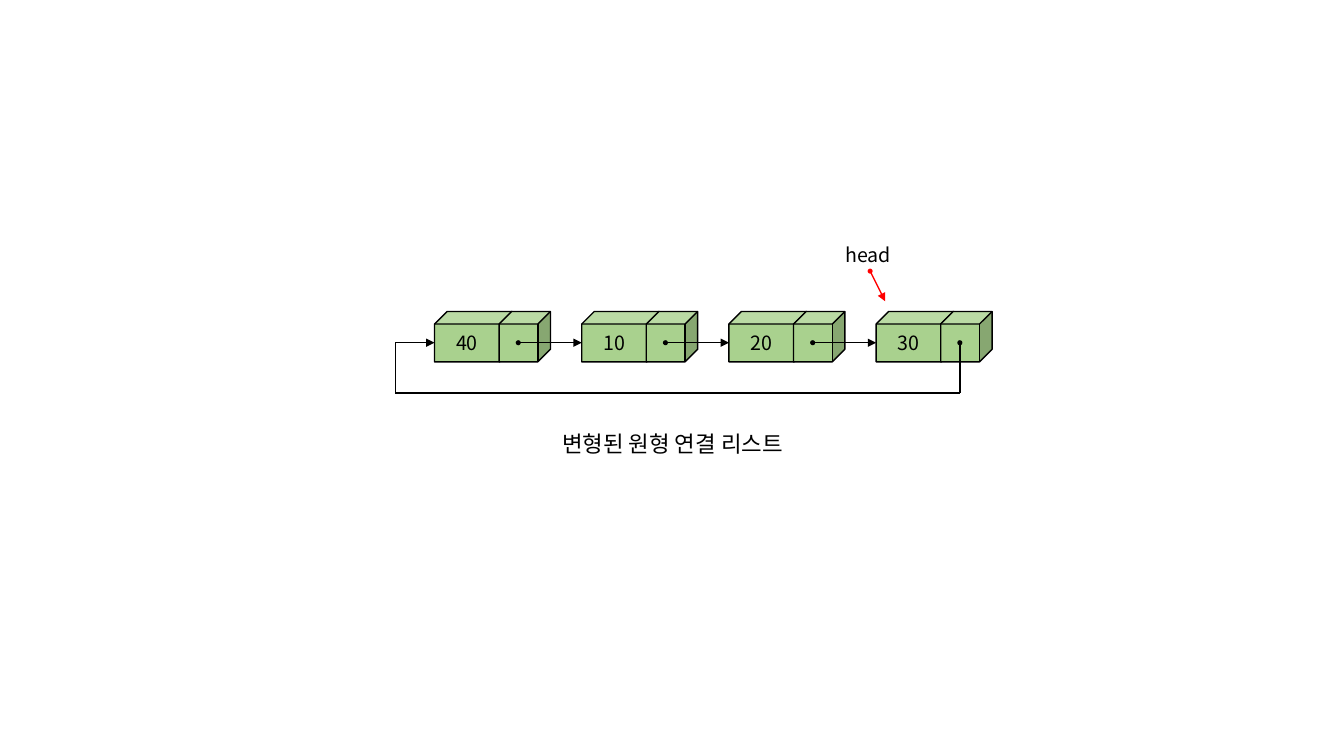
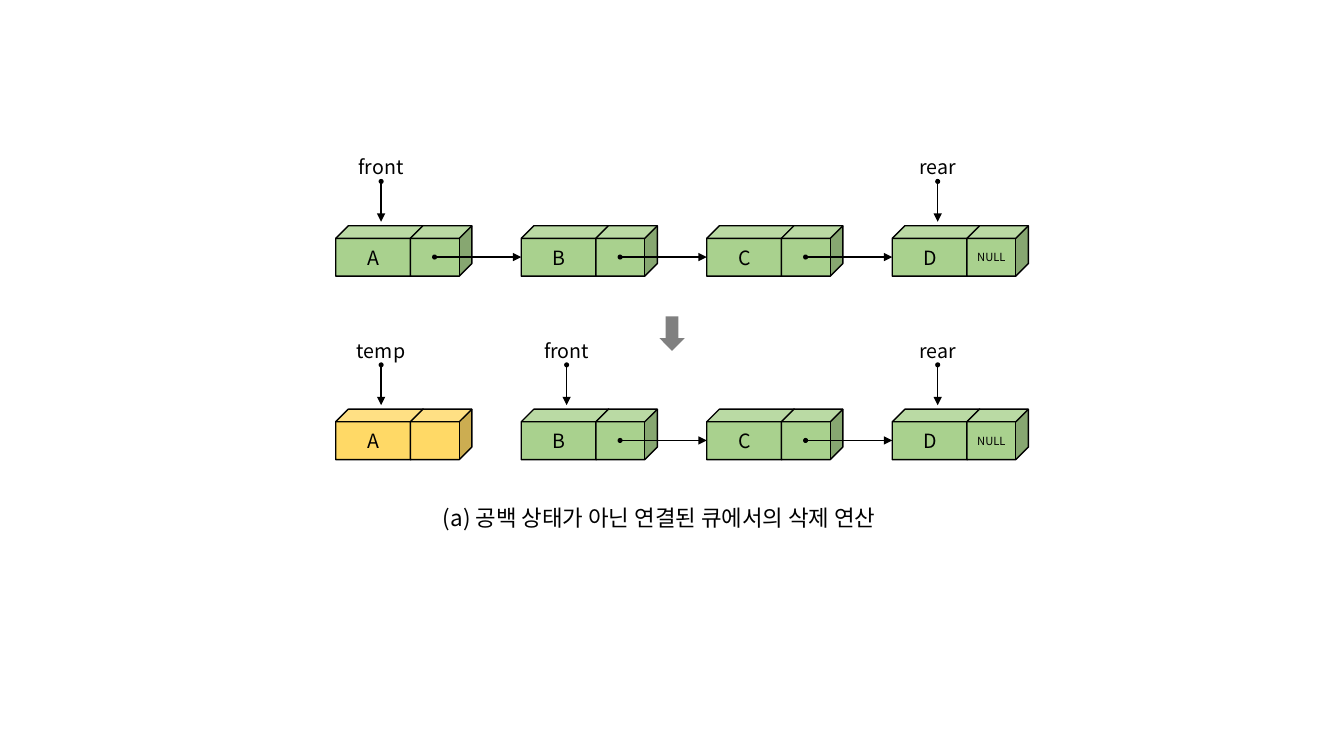
from lxml.etree import SubElement
from pptx import Presentation
from pptx.dml.color import RGBColor
from pptx.enum.shapes import MSO_CONNECTOR, MSO_SHAPE
from pptx.enum.text import MSO_ANCHOR, MSO_AUTO_SIZE, PP_ALIGN
from pptx.oxml.ns import qn
from pptx.util import Inches, Pt

BLACK = RGBColor(0x00, 0x00, 0x00)
RED = RGBColor(0xFF, 0x00, 0x00)
GREEN = RGBColor(0xA9, 0xD1, 0x8E)
YELLOW = RGBColor(0xFF, 0xD9, 0x66)
GRAY = RGBColor(0x80, 0x80, 0x80)

FONT = "Noto Sans CJK KR"
CUBE_H = 0.5
CUBE_DEPTH = 0.13  # slanted part of a cube
LINK_Y = 0.31      # from the top of a node to its link line
DOT = 0.05


class Diagram:
    """Linked-list drawing style and the current slide."""

    def __init__(self, prs, data_w):
        self.slide = prs.slides.add_slide(prs.slide_layouts[6])
        self.data_w = data_w
        self.link_w = data_w - 2 * CUBE_DEPTH
        self.link_x = data_w - CUBE_DEPTH
        self.dot_x = self.link_x + (self.link_w - CUBE_DEPTH) / 2

    def set_text(self, tf, text, size):
        p = tf.paragraphs[0]
        p.alignment = PP_ALIGN.CENTER
        r = p.add_run()
        r.text = text
        for name, value in {"name": FONT, "size": Pt(size)}.items():
            setattr(r.font, name, value)
        r.font.color.rgb = BLACK
        SubElement(r._r.get_or_add_rPr(), qn("a:ea"), typeface=FONT)

    def shape(self, kind, x, y, w, h, color, outline=False):
        sp = self.slide.shapes.add_shape(
            kind, Inches(x), Inches(y), Inches(w), Inches(h))
        sp.shadow.inherit = False
        sp.fill.solid()
        sp.fill.fore_color.rgb = color
        if outline:
            sp.line.color.rgb = BLACK
            sp.line.width = Pt(1)
        else:
            sp.line.fill.background()
        return sp

    def cube(self, x, y, w, color, text="", size=14):
        sp = self.shape(MSO_SHAPE.CUBE, x, y, w, CUBE_H, color, outline=True)
        if text:
            tf = sp.text_frame
            frame = {"margin_left": 0, "margin_right": 0, "margin_top": 0,
                     "margin_bottom": 0, "vertical_anchor": MSO_ANCHOR.MIDDLE}
            for name, value in frame.items():
                setattr(tf, name, value)
            self.set_text(tf, text, size)

    def node(self, x, y, data, link="", color=GREEN):
        self.cube(x, y, self.data_w, color, data)
        self.cube(x + self.link_x, y, self.link_w, color, link, 8)

    def dot(self, x, y, color=BLACK):
        self.shape(MSO_SHAPE.OVAL, x - DOT / 2, y - DOT / 2, DOT, DOT, color)

    def line(self, start, end, color=BLACK, arrow=True):
        ends = [Inches(v) for v in (*start, *end)]
        cn = self.slide.shapes.add_connector(MSO_CONNECTOR.STRAIGHT, *ends)
        cn.line.color.rgb = color
        cn.line.width = Pt(1)
        if arrow:
            SubElement(cn.line._get_or_add_ln(), qn("a:tailEnd"), type="triangle")
        SubElement(cn._element.spPr, qn("a:effectLst"))

    def link(self, x, y, next_x):
        start = (x + self.dot_x, y + LINK_Y)
        self.dot(*start)
        self.line(start, (next_x, y + LINK_Y))

    def label(self, text, center, y, w=1.2, h=0.34, size=14):
        sp = self.slide.shapes.add_textbox(
            Inches(center - w / 2), Inches(y), Inches(w), Inches(h))
        tf = sp.text_frame
        tf.word_wrap = True
        tf.auto_size = MSO_AUTO_SIZE.SHAPE_TO_FIT_TEXT
        self.set_text(tf, text, size)

    def caption(self, text, center, y):
        self.label(text, center, y, w=8.58, h=0.37, size=16)

    def pointer(self, text, center, y, start, end, color=BLACK):
        self.label(text, center, y)
        self.dot(*start, color)
        self.line(start, end, color)


def circular_list(prs):
    d = Diagram(prs, data_w=0.77)
    y = 3.09
    xs = [4.31 + 1.46 * i for i in range(4)]

    # Nodes and forward links
    for x, data in zip(xs, ("40", "10", "20", "30")):
        d.node(x, y, data)
    for x, next_x in zip(xs, xs[1:]):
        d.link(x, y, next_x)
    d.pointer("head", 8.61, 2.36, (8.63, 2.69), (8.78, 2.99), RED)

    # Link from the last node back to the first
    link_y, back_y, back_x = y + LINK_Y, 3.9, 3.92
    start = (xs[-1] + d.dot_x, link_y)
    d.dot(*start)
    route = [start, (start[0], back_y), (back_x, back_y),
             (back_x, link_y), (xs[0], link_y)]
    for a, b in zip(route, route[1:]):
        d.line(a, b, arrow=b == route[-1])

    d.caption("변형된 원형 연결 리스트", 6.67, 4.22)


def queue_deletion(prs):
    d = Diagram(prs, data_w=0.87)
    xs = [3.33 + 1.84 * i for i in range(4)]

    # Queue before and after: top, index of the front node, pointers by node
    rows = [(2.24, 0, {0: "front", 3: "rear"}),
            (4.06, 1, {0: "temp", 1: "front", 3: "rear"})]
    for y, front, pointers in rows:
        for i, (x, data) in enumerate(zip(xs, "ABCD")):
            d.node(x, y, data, "NULL" if data == "D" else "",
                   YELLOW if i < front else GREEN)
        for x, next_x in zip(xs[front:], xs[front + 1:]):
            d.link(x, y, next_x)
        for i, text in pointers.items():
            x = xs[i] + 0.45
            d.pointer(text, x, y - 0.75, (x, y - 0.44), (x, y - 0.04))

    # Step arrow and caption
    d.shape(MSO_SHAPE.DOWN_ARROW, 6.54, 3.14, 0.25, 0.34, GRAY)
    d.caption("(a) 공백 상태가 아닌 연결된 큐에서의 삭제 연산", 6.54, 4.95)


def main():
    prs = Presentation()
    prs.slide_width = Inches(13.33)
    prs.slide_height = Inches(7.5)
    circular_list(prs)
    queue_deletion(prs)
    prs.save("out.pptx")


if __name__ == "__main__":
    main()
